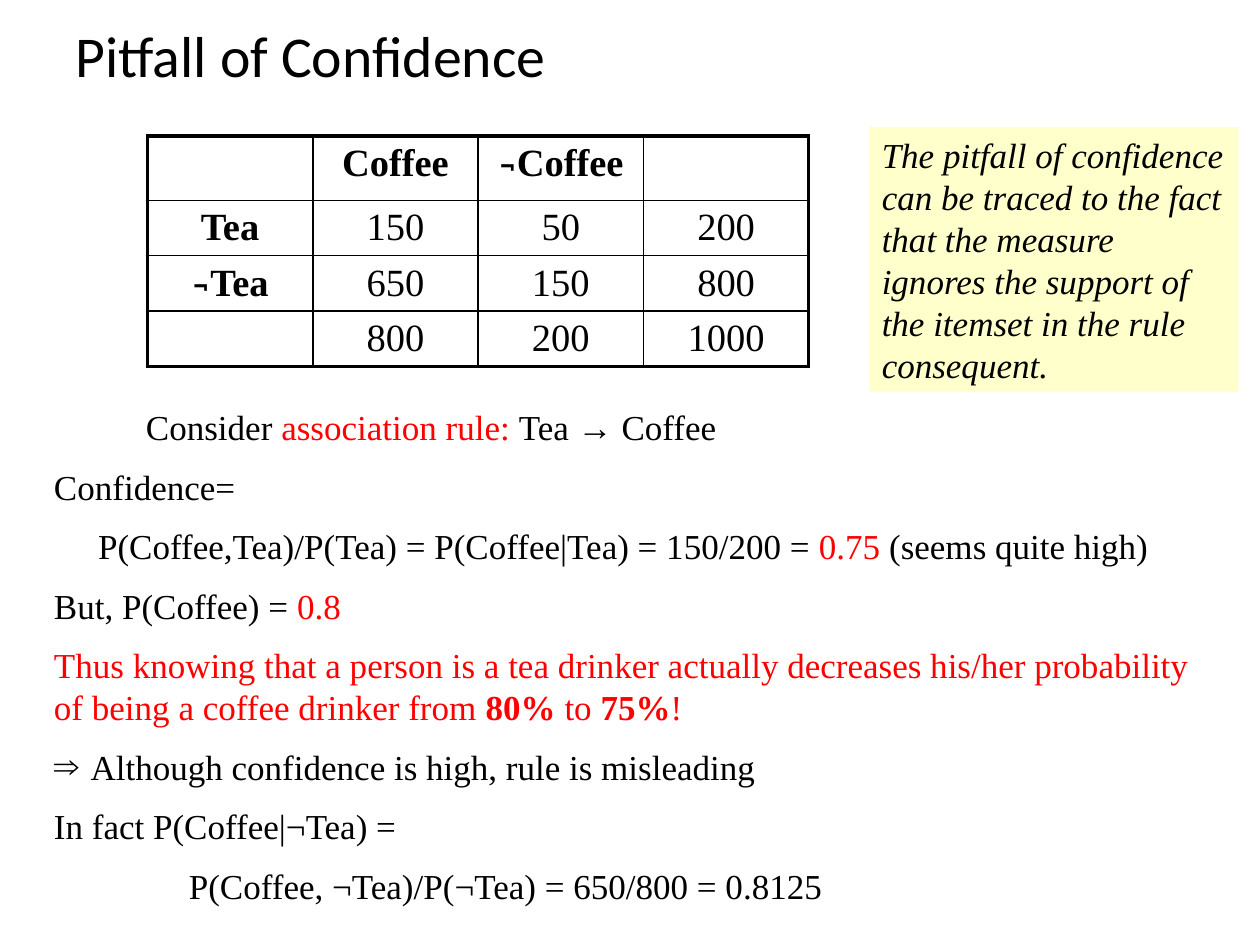
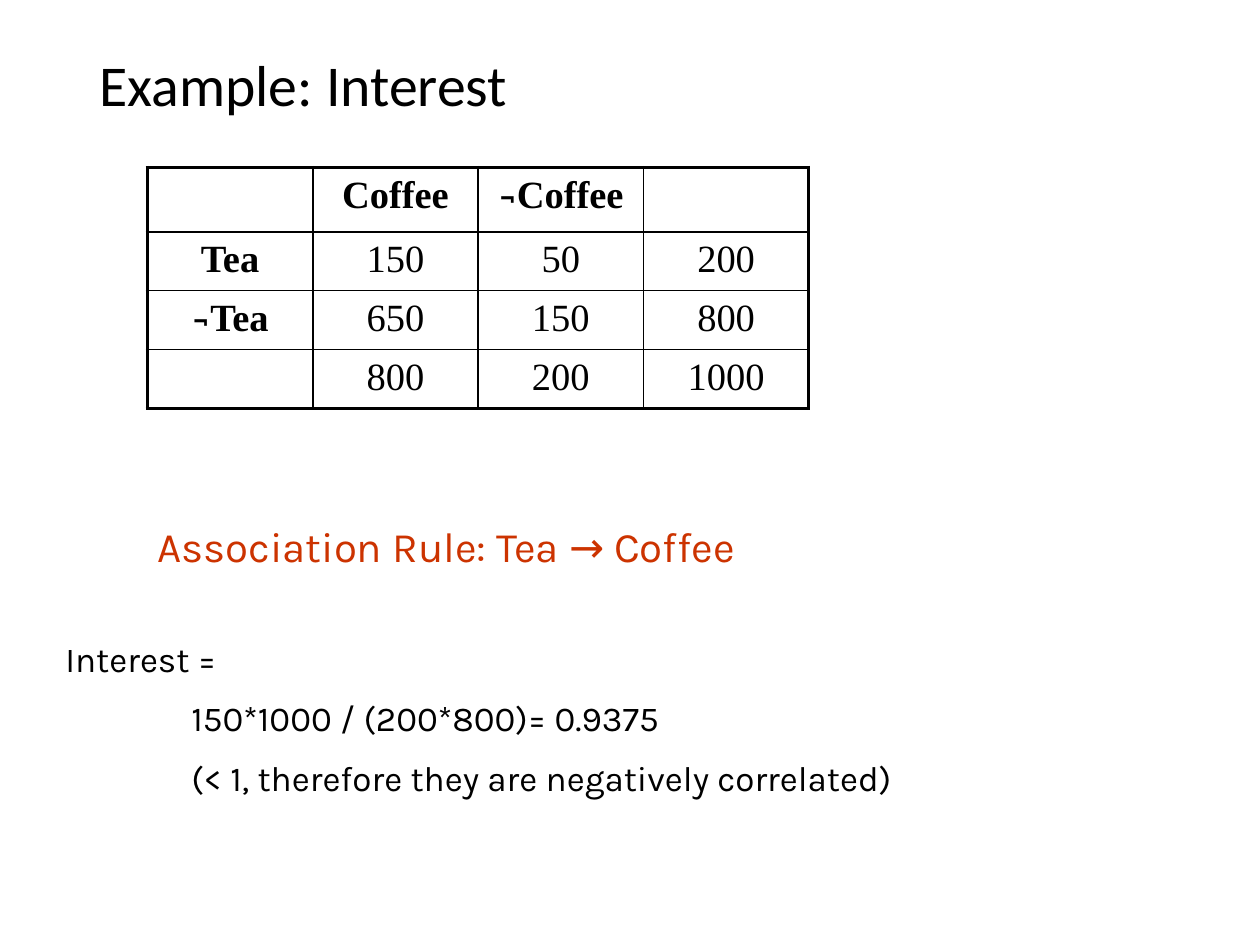
from lxml import etree
from pptx import Presentation
from pptx import util as u
from pptx.dml.color import RGBColor
from pptx.enum import shapes, text
from pptx.oxml.ns import qn

COLS, ROWS = 40, 30  # the slide's grid of square cells
CELL = u.Inches(10) // COLS
BLACK, RED, RUST, CREAM = "000000", "FF0000", "CC3300", "FFFFCC"
SERIF, SANS, HEAD = "Times New Roman", "Karla", "Calibri"
GAP = 10  # points before a paragraph
COUNTS = [
    ["", "Coffee", "¬Coffee", ""],
    ["Tea", "150", "50", "200"],
    ["¬Tea", "650", "150", "800"],
    ["", "800", "200", "1000"],
]


def grid(*cells):
    return [round(n * CELL) for n in cells]


def rgb(code):
    return RGBColor.from_string(code)


def add_run(para, words, size=20, face=SERIF, color=BLACK, bold=False, slant=False):
    run = para.add_run()
    run.text = words
    font = run.font
    font.size, font.name = u.Pt(size), face
    font.bold, font.italic = bold, slant
    font.color.rgb = rgb(color)


def set_title(slide, words, box):
    title = slide.shapes.title
    title.left, title.top, title.width, title.height = grid(*box)
    frame = title.text_frame
    frame.auto_size = text.MSO_AUTO_SIZE.NONE
    frame.vertical_anchor = text.MSO_ANCHOR.MIDDLE
    para = frame.paragraphs[0]
    para.alignment, para.line_spacing = text.PP_ALIGN.LEFT, 0.9
    add_run(para, words, 33, HEAD)


def set_edges(cell, row, col):
    """Draw heavy lines on the rim of the table and thin ones inside."""
    last = len(COUNTS) - 1
    rims = {"L": col == 0, "R": col == last, "T": row == 0, "B": row == last}
    props = cell._tc.get_or_add_tcPr()
    for at, (side, rim) in enumerate(rims.items()):
        line = etree.Element(qn(f"a:ln{side}"), w=str(u.Pt(2.25 if rim else 1)))
        fill = etree.SubElement(line, qn("a:solidFill"))
        etree.SubElement(fill, qn("a:srgbClr"), val=BLACK)
        props.insert(at, line)


def add_counts(slide, left, top, low):
    """Add the tea and coffee table; low is the height of a row below the head."""
    size = len(COUNTS)
    highs = [2.04] + [low] * (size - 1)
    frame = slide.shapes.add_table(size, size, *grid(left, top, 21, sum(highs)))
    table = frame.table
    table.first_row = table.horz_banding = False
    for r, line in enumerate(COUNTS):
        table.rows[r].height = grid(highs[r])[0]
        for c, words in enumerate(line):
            cell = table.cell(r, c)
            cell.fill.background()
            cell.margin_bottom = u.Inches(0.04)
            set_edges(cell, r, c)
            para = cell.text_frame.paragraphs[0]
            para.alignment = text.PP_ALIGN.CENTER
            bold = r == 0 or c == 0
            if words.startswith("¬"):
                add_run(para, "¬", 20, SANS, bold=bold)
            if words:
                add_run(para, words.lstrip("¬"), 22, bold=bold)


def add_mark(para, sign, inset):
    props = para._p.get_or_add_pPr()
    props.set("indent", str(-inset))
    etree.SubElement(props, qn("a:buFont"), typeface=SERIF)
    etree.SubElement(props, qn("a:buChar"), char=sign)


def add_notes(slide, box, lines, face):
    """Add lines of (inset in cells, gap in points, bullet, runs)."""
    frame = slide.shapes.add_textbox(*grid(*box)).text_frame
    frame.word_wrap = True
    for n, (inset, gap, sign, runs) in enumerate(lines):
        para = frame.add_paragraph() if n else frame.paragraphs[0]
        para.space_before = u.Pt(gap)
        left = grid(inset)[0]
        para._p.get_or_add_pPr().set("marL", str(left))
        if sign:
            add_mark(para, sign, left)
        for words, style in runs:
            add_run(para, words, face=face, **style)


def add_callout(slide, box, words):
    shape = slide.shapes.add_shape(shapes.MSO_SHAPE.RECTANGLE, *grid(*box))
    shape.shadow.inherit = False
    shape.fill.solid()
    shape.fill.fore_color.rgb = rgb(CREAM)
    shape.line.fill.background()
    frame = shape.text_frame
    frame.word_wrap = True
    frame.vertical_anchor = text.MSO_ANCHOR.TOP
    para = frame.paragraphs[0]
    para.alignment = text.PP_ALIGN.LEFT
    add_run(para, words, slant=True)


def add_pitfall(slide):
    set_title(slide, "Pitfall of Confidence", (2, 0.32, 36, 3.12))
    add_counts(slide, 4.68, 4.32, 1.76)
    plain, red, loud = {}, {"color": RED}, {"color": RED, "bold": True}
    add_notes(slide, (1.32, 12.68, 37.68, 17.08), [
        (2.92, GAP, "", [("Consider ", plain), ("association rule: ", red),
                         ("Tea → Coffee", plain)]),
        (0, GAP, "", [("Confidence=", plain)]),
        (1.4, GAP, "", [
            ("P(Coffee,Tea)/P(Tea) = P(Coffee|Tea) = 150/200 = ", plain),
            ("0.75 ", red), ("(seems quite high)", plain)]),
        (0, GAP, "", [("But, P(Coffee) = ", plain), ("0.8", red)]),
        (0, GAP, "", [
            ("Thus knowing that a person is a tea drinker actually decreases "
             "his/her probability of being a coffee drinker from ", red),
            ("80%", loud), (" to ", red), ("75%", loud), ("!", red)]),
        (1.16, GAP, "⇒", [
            ("Although confidence is high, rule is misleading", plain)]),
        (0, GAP, "", [("In fact P(Coffee|¬Tea) =", plain)]),
        (4.28, GAP, "", [
            ("P(Coffee, ¬Tea)/P(¬Tea) = 650/800 = 0.8125", plain)]),
    ], SERIF)
    add_callout(slide, (27.6, 4.04, 11.72, 8.4),
                "The pitfall of confidence can be traced to the fact that the "
                "measure ignores the support of the itemset in the rule consequent.")


def add_interest(slide):
    set_title(slide, "Example: Interest", (2.76, 1.6, 34.48, 2.4))
    rule = {"size": 24, "color": RUST}
    add_notes(slide, (1.68, 16.32, 37.32, 9.68), [
        (2.92, GAP, "", [("Association Rule: Tea → Coffee", rule)]),
        (0, 38, "", [("Interest =", {})]),
        (4, GAP, "", [("150*1000 / (200*800)= 0.9375", {})]),
        (4, GAP, "", [("(< 1, therefore they are negatively correlated)", {})]),
    ], SANS)
    add_counts(slide, 4.68, 5.32, 1.87)


def main():
    deck = Presentation()
    deck.slide_width, deck.slide_height = grid(COLS, ROWS)
    for build in (add_pitfall, add_interest):
        build(deck.slides.add_slide(deck.slide_layouts[5]))
    deck.save("out.pptx")


if __name__ == "__main__":
    main()
